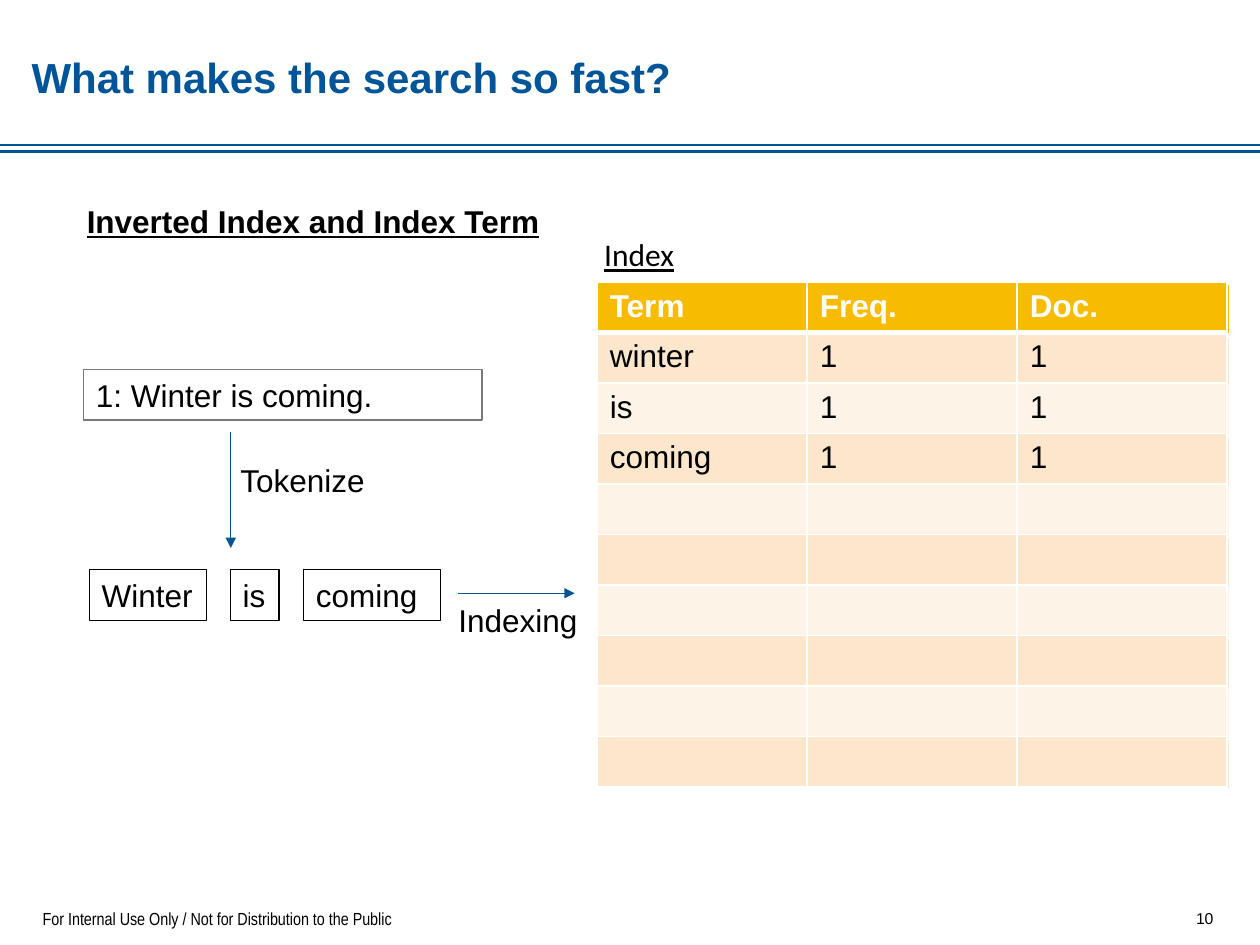
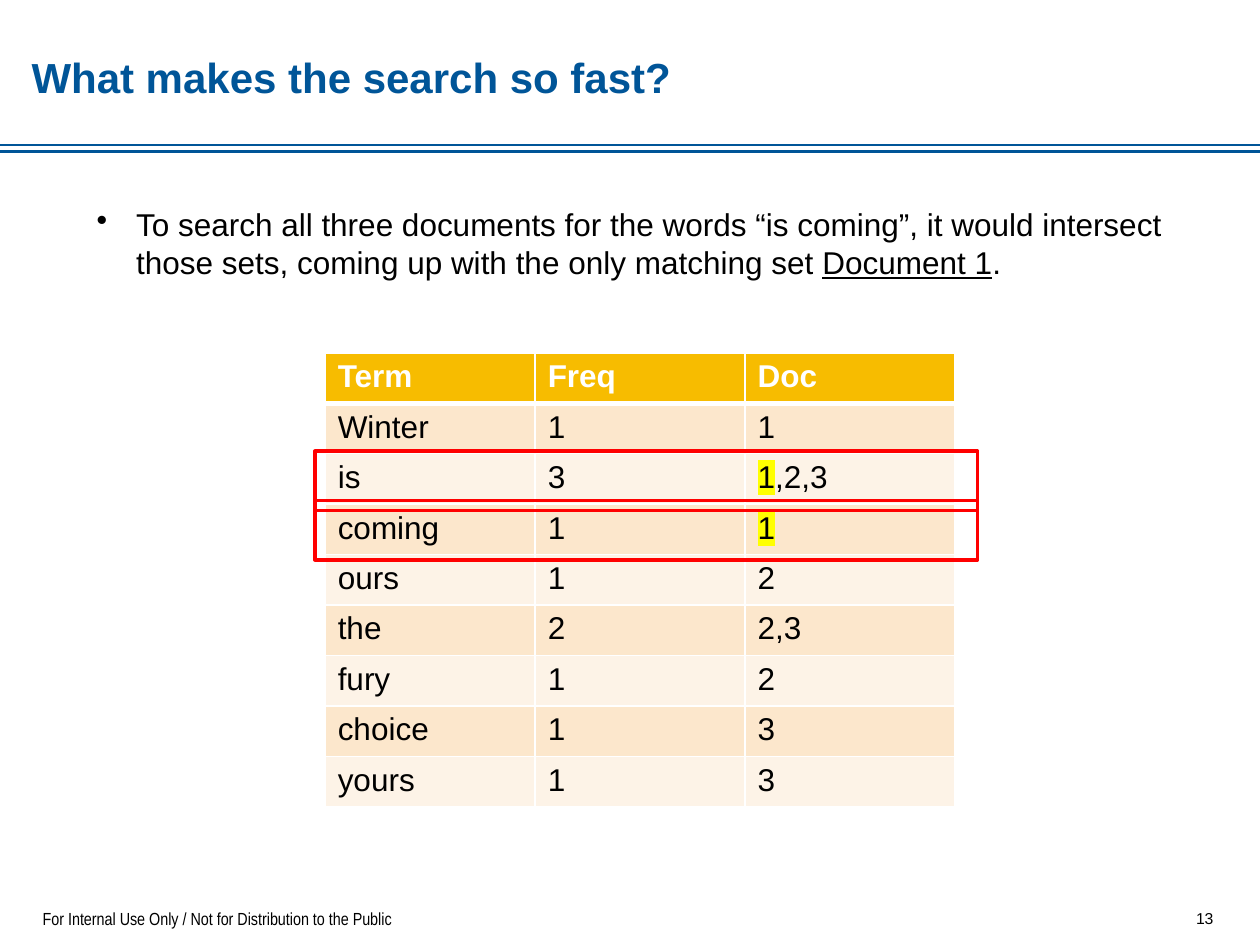
from dataclasses import dataclass
from typing import Union

from lxml.etree import SubElement
from pptx import Presentation
from pptx.dml.color import RGBColor
from pptx.enum.shapes import MSO_CONNECTOR, MSO_SHAPE
from pptx.enum.text import MSO_ANCHOR as Anchor, PP_ALIGN as Align
from pptx.oxml.ns import qn
from pptx.slide import Slide
from pptx.util import Pt

TITLE_BLUE = RGBColor(0x00, 0x55, 0x98)
ARROW_BLUE = RGBColor(0x00, 0x53, 0x95)
HEADER_GOLD = RGBColor(0xF7, 0xBC, 0x00)
BAND_DARK = RGBColor(0xFC, 0xE7, 0xCC)
BAND_LIGHT = RGBColor(0xFD, 0xF3, 0xE7)
BLACK = RGBColor(0x00, 0x00, 0x00)
WHITE = RGBColor(0xFF, 0xFF, 0xFF)
GREY = RGBColor(0x79, 0x79, 0x79)
RED = RGBColor(0xFF, 0x00, 0x00)
YELLOW = RGBColor(0xFF, 0xFF, 0x00)

COLUMN_COUNT = 3
COLUMN_WIDTH = 120
ROW_HEIGHT = 28.8


@dataclass(frozen=True)
class Span:
    text: str
    underline: bool = False
    highlight: bool = False


Content = Union[str, tuple[Span, ...]]


@dataclass(frozen=True)
class TextStyle:
    size: float = 18
    color: RGBColor = BLACK
    name: str = "Arial"
    bold: bool = False
    underline: bool = False


@dataclass(frozen=True)
class Area:
    left: float
    top: float
    width: float
    height: float

    def lengths(self) -> tuple[Pt, Pt, Pt, Pt]:
        return Pt(self.left), Pt(self.top), Pt(self.width), Pt(self.height)


@dataclass(frozen=True)
class Label:
    area: Area
    content: Content
    style: TextStyle = TextStyle()
    wrap: bool = False
    inset: bool = True
    anchor: Anchor = Anchor.TOP
    align: Align = Align.LEFT


@dataclass(frozen=True)
class Frame:
    area: Area
    color: RGBColor
    width: float = 0.75
    text: str = ""
    wrap: bool = False


@dataclass(frozen=True)
class Line:
    start: tuple[float, float]
    end: tuple[float, float]
    color: RGBColor
    width: float
    arrow: bool = False


@dataclass(frozen=True)
class TermTable:
    left: float
    top: float
    header: tuple[str, ...]
    rows: list[tuple[Content, ...]]


BODY = TextStyle()
HEADER = TextStyle(color=WHITE, bold=True)
TITLE = TextStyle(24, TITLE_BLUE, bold=True)
FOOTER = TextStyle(10, name="Arial Narrow")
PAGE_NUMBER = TextStyle(9)
HEADING = TextStyle(bold=True, underline=True)
CAPTION = TextStyle(name="Calibri", underline=True)

TITLE_RULES = (
    Line((0, 86.4), (720, 86.4), TITLE_BLUE, 1.72),
    Line((0, 82.8), (720, 82.8), TITLE_BLUE, 1),
)


def add_color(parent, tag: str, color: RGBColor) -> None:
    SubElement(SubElement(parent, qn(tag)), qn("a:srgbClr"), val=str(color))


def write_text(para, content: Content, style: TextStyle) -> None:
    font = para.font
    font.name, font.size = style.name, Pt(style.size)
    font.bold, font.underline = style.bold, style.underline
    font.color.rgb = style.color
    spans = (Span(content),) if isinstance(content, str) else content
    for span in spans:
        run = para.add_run()
        run.text = span.text
        if span.underline:
            run.font.underline = True
        if span.highlight:
            add_color(run.font._element, "a:highlight", YELLOW)


def add_label(page: Slide, label: Label):
    """Draw a text box and return its paragraph."""
    frame = page.shapes.add_textbox(*label.area.lengths()).text_frame
    frame.word_wrap = label.wrap
    frame.vertical_anchor = label.anchor
    if not label.inset:
        frame.margin_left = frame.margin_right = Pt(0)
        frame.margin_top = frame.margin_bottom = Pt(0)
    para = frame.paragraphs[0]
    para.alignment = label.align
    write_text(para, label.content, label.style)
    return para


def add_frame(page: Slide, spec: Frame) -> None:
    box = page.shapes.add_shape(MSO_SHAPE.RECTANGLE, *spec.area.lengths())
    box.shadow.inherit = False
    box.fill.background()
    box.line.color.rgb = spec.color
    box.line.width = Pt(spec.width)
    if spec.text:
        frame = box.text_frame
        frame.word_wrap = spec.wrap
        frame.vertical_anchor = Anchor.TOP
        frame.paragraphs[0].alignment = Align.LEFT
        write_text(frame.paragraphs[0], spec.text, BODY)


def add_line(page: Slide, spec: Line) -> None:
    ends = [Pt(value) for value in spec.start + spec.end]
    line = page.shapes.add_connector(MSO_CONNECTOR.STRAIGHT, *ends)
    line.line.color.rgb = spec.color
    line.line.width = Pt(spec.width)
    if spec.arrow:
        SubElement(line.line._get_or_add_ln(), qn("a:tailEnd"), type="triangle")
    SubElement(line._element.spPr, qn("a:effectLst"))


def style_cell(cell, row_index: int) -> None:
    """Set white borders, heavier below the header, and the band's fill."""
    heavy_side = {0: "B", 1: "T"}.get(row_index)
    properties = cell._tc.get_or_add_tcPr()
    for side in "LRTB":
        width = Pt(3 if side == heavy_side else 1)
        border = SubElement(properties, qn(f"a:ln{side}"), w=str(width))
        add_color(border, "a:solidFill", WHITE)
    cell.fill.solid()
    band = BAND_DARK if row_index % 2 else BAND_LIGHT
    cell.fill.fore_color.rgb = band if row_index else HEADER_GOLD


def add_term_table(page: Slide, spec: TermTable) -> None:
    rows = [spec.header, *spec.rows]
    area = Area(spec.left, spec.top, COLUMN_COUNT * COLUMN_WIDTH, len(rows) * ROW_HEIGHT)
    table = page.shapes.add_table(len(rows), COLUMN_COUNT, *area.lengths()).table
    for row_index, row in enumerate(rows):
        for column_index, content in enumerate(row):
            cell = table.cell(row_index, column_index)
            style_cell(cell, row_index)
            if content:
                style = BODY if row_index else HEADER
                write_text(cell.text_frame.paragraphs[0], content, style)


def add_page(deck, number: int) -> Slide:
    """Add a blank page with the shared title, rules and footer."""
    page = deck.slides.add_slide(deck.slide_layouts[6])
    for rule in TITLE_RULES:
        add_line(page, rule)
    add_label(page, Label(Area(17.3, 514.8, 231.8, 19.4),
                          "For Internal Use Only / Not for Distribution to the Public",
                          FOOTER, anchor=Anchor.BOTTOM))
    title = add_label(page, Label(Area(18, 30.2, 539.3, 28), "What makes the search so fast?",
                                  TITLE, wrap=True, inset=False))
    title.line_spacing = Pt(28)
    add_label(page, Label(Area(639.4, 514.8, 54, 15.1), str(number), PAGE_NUMBER,
                          wrap=True, inset=False, anchor=Anchor.BOTTOM, align=Align.RIGHT))
    return page


def build_indexing_page(deck) -> None:
    page = add_page(deck, 10)
    header = ("Term", "Freq.", "Doc.")
    empty_row = ("",) * COLUMN_COUNT
    indexed = [(term, "1", "1") for term in ("winter", "is", "coming")]
    add_term_table(page, TermTable(342.7, 162.7, header, [empty_row] * 9))
    add_term_table(page, TermTable(341.3, 161.3, header, indexed + [empty_row] * 6))

    add_frame(page, Frame(Area(47.7, 211.1, 227.7, 29), GREY, text="1: Winter is coming.", wrap=True))
    for token, left, width in (("Winter", 51, 67.1), ("is", 131.6, 27.9), ("coming", 173.4, 78.4)):
        add_frame(page, Frame(Area(left, 325.5, width, 29), BLACK, text=token, wrap=token == "coming"))
    add_line(page, Line((131.9, 247), (131.9, 313.2), ARROW_BLUE, 0.75, arrow=True))
    add_line(page, Line((262, 339), (328.4, 339), ARROW_BLUE, 0.75, arrow=True))

    for label in (
        Label(Area(130.3, 260, 86.4, 29), "Tokenize"),
        Label(Area(254.9, 340, 83.5, 29), "Indexing"),
        Label(Area(42.5, 111.8, 298, 29), "Inverted Index and Index Term", HEADING, wrap=True),
        Label(Area(338.2, 131, 54.7, 29), "Index", CAPTION),
    ):
        add_label(page, label)


def build_search_page(deck) -> None:
    page = add_page(deck, 13)
    message = (
        Span("To search all three documents for the words “is coming”, it would intersect "
             "those sets, coming up with the only matching set "),
        Span("Document 1", underline=True),
        Span("."),
    )
    para = add_label(page, Label(Area(48.2, 113.8, 624.2, 94.3), message, wrap=True))
    properties = para._p.get_or_add_pPr()
    properties.set("marL", str(Pt(22.5)))
    properties.set("indent", str(Pt(-22.5)))
    bullet = properties.makeelement(qn("a:buChar"), {"char": "•"})
    properties.find(qn("a:defRPr")).addprevious(bullet)

    match = Span("1", highlight=True)
    add_term_table(page, TermTable(185.8, 201.6, ("Term", "Freq", "Doc"), [
        ("Winter", "1", "1"),
        ("is", "3", (match, Span(",2,3"))),
        ("coming", "1", (match,)),
        ("ours", "1", "2"),
        ("the", "2", "2,3"),
        ("fury", "1", "2"),
        ("choice", "1", "3"),
        ("yours", "1", "3"),
    ]))
    for top in (257.8, 285.9):
        add_frame(page, Frame(Area(180, top, 378.7, 34), RED, 2))


def main() -> None:
    deck = Presentation()
    deck.slide_width, deck.slide_height = Pt(720), Pt(540)
    build_indexing_page(deck)
    build_search_page(deck)
    deck.save("out.pptx")


if __name__ == "__main__":
    main()
